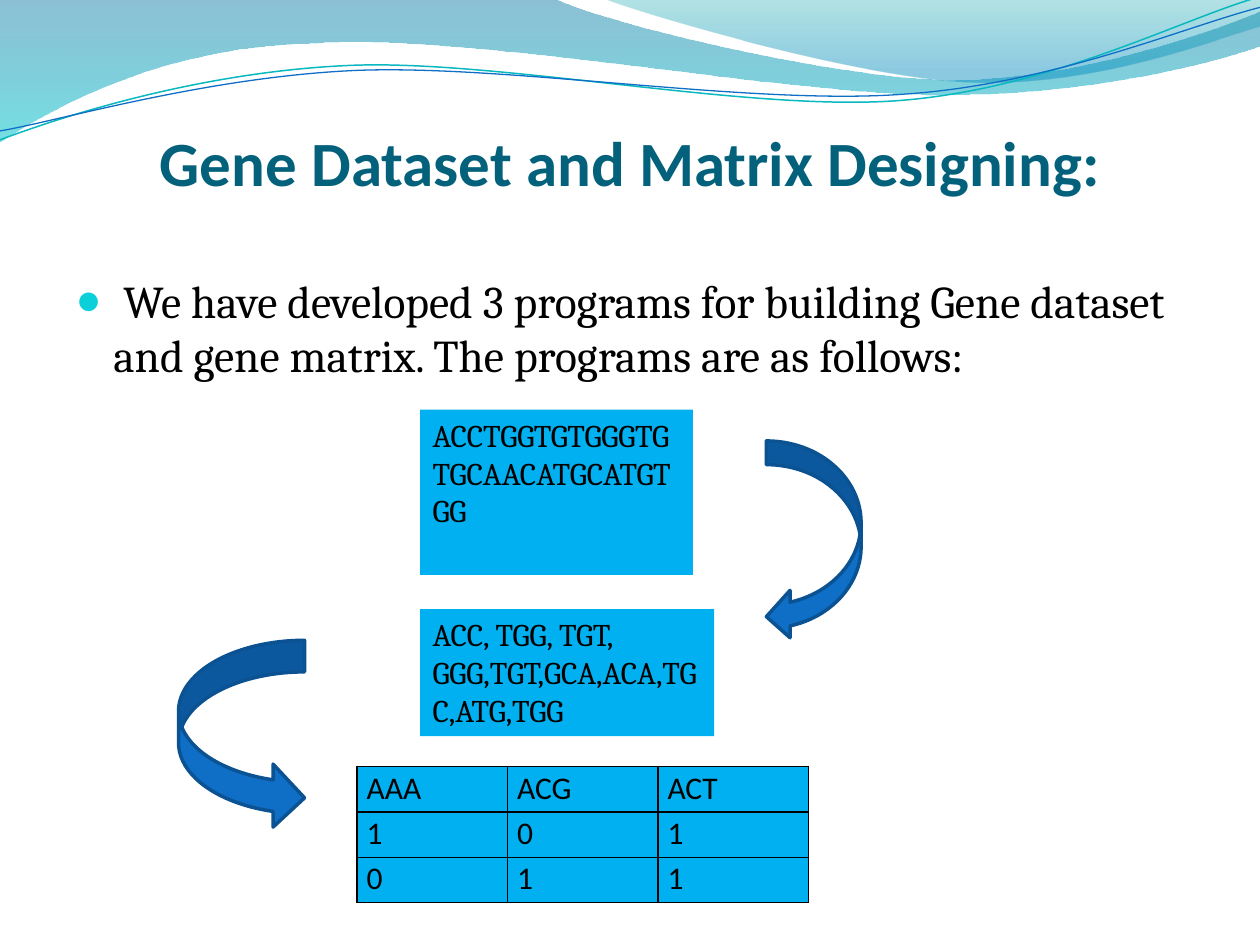
from dataclasses import dataclass

from lxml.etree import SubElement
from pptx import Presentation
from pptx.dml.color import RGBColor
from pptx.enum.shapes import MSO_SHAPE
from pptx.enum.text import MSO_ANCHOR, MSO_AUTO_SIZE, PP_ALIGN
from pptx.oxml.ns import qn
from pptx.util import Cm, Pt

COLORS = {
    "title": "04617B", "text": "000000", "panel": "00B0F0", "bullet": "0BD0D9",
    "arrow": "0F6FC6", "arrow_edge": "0B5292", "teal_line": "0AB8BF",
    "wave_blue": "0074A1", "wave_teal": "00C6CF",
    "crest_teal": "00A1A9", "crest_blue": "008BBF",
}


@dataclass(frozen=True)
class Frame:
    left: float
    top: float
    width: float
    height: float

    def lengths(self) -> tuple:
        return Cm(self.left), Cm(self.top), Cm(self.width), Cm(self.height)


@dataclass(frozen=True)
class Stop:
    position: float
    color: str
    opacity: int


@dataclass(frozen=True)
class Wave:
    start: tuple
    segments: tuple
    stops: tuple = ()
    line: str = ""
    weight: float = 0


@dataclass(frozen=True)
class Sequence:
    frame: Frame
    text: str


@dataclass(frozen=True)
class Arrow:
    preset: MSO_SHAPE
    frame: Frame


WAVES = (
    Wave((0, 0), (
        (11.18, -0.03),
        (12.09, 0.43, 16.87, 1.6, 19.25, 1.6),
        (21.67, 1.6, 24.33, 0.66, 25.4, 0.23),
        (25.43, 0.91),
        (24.97, 1.12, 22.1, 1.93, 18.95, 1.91),
        (15.8, 1.91, 9.7, 0.71, 6.53, 0.86),
        (3.28, 0.91, 1.17, 2.11, -0.03, 2.87),
    ), stops=(Stop(0, "wave_blue", 45), Stop(1, "wave_teal", 55))),
    Wave((12.17, -0.03), (
        (12.93, 0.28, 17.32, 1.57, 19.53, 1.65),
        (22.07, 1.75, 24.41, 0.81, 25.4, 0.53),
        (25.4, 0),
    ), stops=(Stop(0, "crest_teal", 30), Stop(0.8, "crest_blue", 45))),
    Wave((0, 2.82), (
        (1.22, 2.36, 4.01, 1.45, 7.04, 1.32),
        (10.03, 1.19, 15.06, 2.26, 18.11, 2.03),
        (21.16, 1.8, 23.83, 0.38, 25.35, -0.05),
    ), line="teal_line", weight=0.85),
    Wave((0, 2.64), (
        (1.19, 2.44, 4.17, 1.55, 7.19, 1.42),
        (10.24, 1.3, 15.16, 2.13, 18.21, 1.9),
        (21.23, 1.7, 23.9, 0.53, 25.4, 0.15),
    ), line="arrow", weight=0.75),
)
SEQUENCES = (
    Sequence(Frame(8.47, 8.26, 5.5, 3.33), "ACCTGGTGTGGGTGTGCAACATGCATGTGG"),
    Sequence(Frame(8.47, 12.28, 5.93, 2.56),
             "ACC, TGG, TGT, GGG,TGT,GCA,ACA,TGC,ATG,TGG"),
)
ARROWS = (
    Arrow(MSO_SHAPE.CURVED_LEFT_ARROW, Frame(15.45, 8.89, 1.91, 4.02)),
    Arrow(MSO_SHAPE.CURVED_RIGHT_ARROW, Frame(3.6, 12.91, 2.54, 3.81)),
)
MATRIX = (("AAA", "ACG", "ACT"), ("1", "0", "1"), ("0", "1", "1"))


def rgb(name: str) -> RGBColor:
    return RGBColor.from_string(COLORS[name])


def add_span(para, text: str, size: float, font: str, color: str = "text", bold: bool = False) -> None:
    span = para.add_run()
    span.text = text
    span.font.size, span.font.name, span.font.bold = Pt(size), font, bold
    span.font.color.rgb = rgb(color)


def place(shape, frame: Frame) -> None:
    shape.left, shape.top, shape.width, shape.height = frame.lengths()


def bend(shape, segments: tuple) -> None:
    strokes = iter(list(shape.element.iter(qn("a:lnTo"))))
    for segment in segments:
        curve = next(strokes)
        if len(segment) == 6:
            curve.tag = qn("a:cubicBezTo")
            for stroke in (next(strokes), next(strokes)):
                curve.append(stroke[0])
                stroke.getparent().remove(stroke)


def add_wave(page, wave: Wave) -> None:
    points = [segment[i:i + 2] for segment in wave.segments for i in range(0, len(segment), 2)]
    corners = [(Cm(x), Cm(y)) for x, y in points]
    builder = page.shapes.build_freeform(Cm(wave.start[0]), Cm(wave.start[1]), scale=1.0)
    builder.add_line_segments(corners, close=bool(wave.stops))
    shape = builder.convert_to_shape()
    bend(shape, wave.segments)
    shape.shadow.inherit = False
    if not wave.stops:
        shape.fill.background()
        shape.line.color.rgb = rgb(wave.line)
        shape.line.width = Pt(wave.weight)
        return
    shape.line.fill.background()
    shape.fill.gradient()
    shape.fill.gradient_angle = 270
    for target, stop in zip(shape.fill.gradient_stops, wave.stops):
        target.position = stop.position
        target.color.rgb = rgb(stop.color)
    tints = shape.element.spPr.find(qn("a:gradFill")).iter(qn("a:srgbClr"))
    for tint, stop in zip(tints, wave.stops):
        SubElement(tint, qn("a:alpha"), val=str(stop.opacity * 1000))


def write_title(title) -> None:
    place(title, Frame(1.27, 2.48, 22.86, 3.67))
    box = title.text_frame
    box.auto_size, box.vertical_anchor = MSO_AUTO_SIZE.NONE, MSO_ANCHOR.TOP
    box.margin_left = box.margin_right = box.margin_top = Cm(0)
    para = box.paragraphs[0]
    para.alignment = PP_ALIGN.CENTER
    add_span(para, "Gene Dataset and Matrix Designing:", 36, "Calibri", "title", True)


def write_body(body) -> None:
    place(body, Frame(1.27, 5.37, 22.86, 14.1))
    body.text_frame.auto_size = MSO_AUTO_SIZE.NONE
    para = body.text_frame.paragraphs[0]
    para.space_before = Pt(0)
    add_span(para, " We have developed 3 programs for building Gene dataset "
                   "and gene matrix. The programs are as follows:", 26, "Cambria")
    properties = para._p.get_or_add_pPr()
    properties.set("marL", str(Cm(0.76)))
    properties.set("indent", str(-Cm(0.76)))
    SubElement(SubElement(properties, qn("a:buClr")), qn("a:srgbClr"), val=COLORS["bullet"])
    SubElement(properties, qn("a:buSzPct"), val="95000")
    SubElement(properties, qn("a:buChar"), char="●")


def add_sequence(page, sequence: Sequence) -> None:
    panel = page.shapes.add_textbox(*sequence.frame.lengths())
    panel.fill.solid()
    panel.fill.fore_color.rgb = rgb("panel")
    panel.text_frame.word_wrap = True
    add_span(panel.text_frame.paragraphs[0], sequence.text, 18, "Cambria")


def add_arrow(page, arrow: Arrow) -> None:
    shape = page.shapes.add_shape(arrow.preset, *arrow.frame.lengths())
    shape.shadow.inherit = False
    shape.fill.solid()
    shape.fill.fore_color.rgb = rgb("arrow")
    shape.line.color.rgb = rgb("arrow_edge")
    shape.line.width = Pt(2)


def write_cell(cell, text: str) -> None:
    cell.margin_left = cell.margin_right = Cm(0.19)
    cell.margin_top = cell.margin_bottom = Cm(0)
    para = cell.text_frame.paragraphs[0]
    para.line_spacing = 1.07
    add_span(para, text, 18, "Calibri")
    properties = cell._tc.get_or_add_tcPr()
    for side in ("lnL", "lnR", "lnT", "lnB"):
        border = SubElement(properties, qn(f"a:{side}"), w=str(Pt(1)))
        SubElement(SubElement(border, qn("a:solidFill")), qn("a:srgbClr"), val=COLORS["text"])
    cell.fill.solid()
    cell.fill.fore_color.rgb = rgb("panel")


def add_matrix(page) -> None:
    frame = Frame(7.2, 15.45, 9.1, 2.75)
    table = page.shapes.add_table(len(MATRIX), len(MATRIX[0]), *frame.lengths()).table
    for row, values in enumerate(MATRIX):
        for column, text in enumerate(values):
            write_cell(table.cell(row, column), text)


deck = Presentation()
deck.slide_width, deck.slide_height = Cm(25.4), Cm(19.05)
page = deck.slides.add_slide(deck.slide_layouts[1])
for wave in WAVES:
    add_wave(page, wave)
write_title(page.shapes.title)
write_body(page.placeholders[1])
for sequence in SEQUENCES:
    add_sequence(page, sequence)
add_matrix(page)
for arrow in ARROWS:
    add_arrow(page, arrow)
deck.save("out.pptx")
